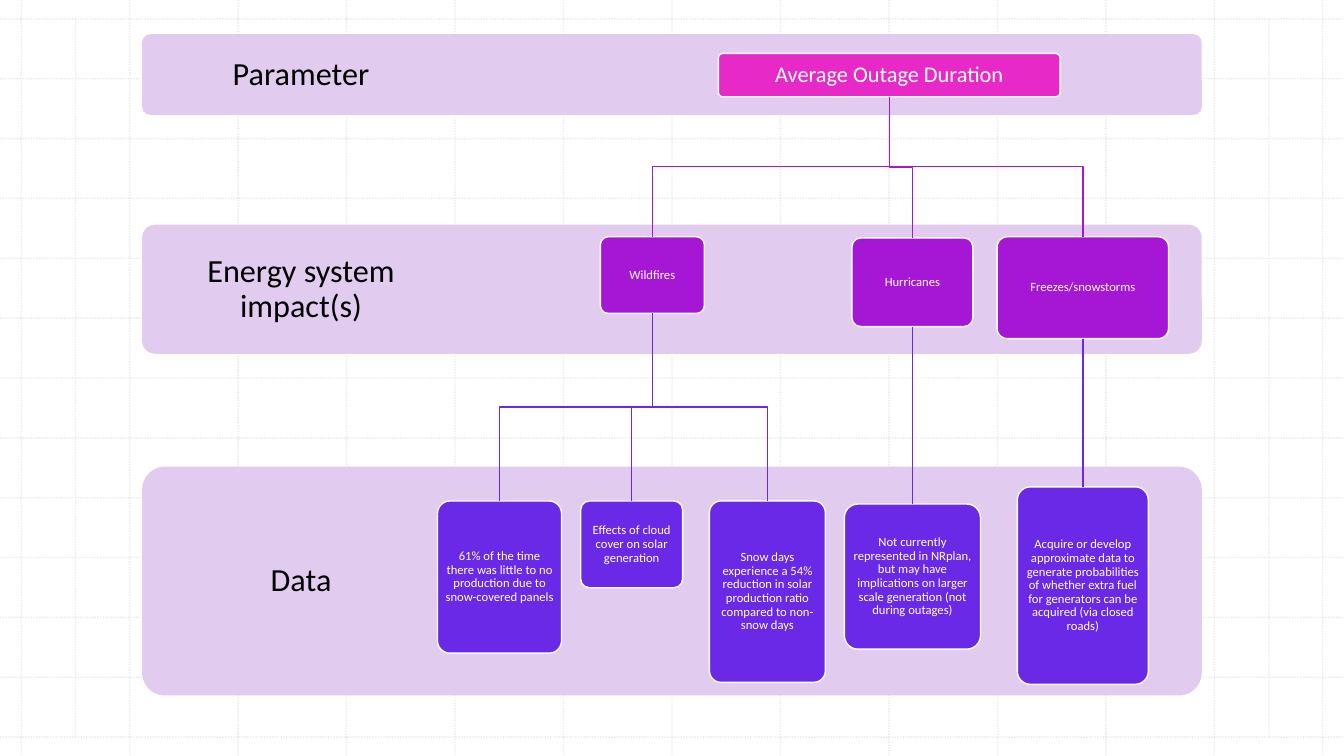
import pptx
import pptx.util
import pptx.dml.color
import pptx.enum.dml
import pptx.enum.shapes
import pptx.enum.text
import pptx.oxml.ns
import lxml.etree

RGBColor = pptx.dml.color.RGBColor
BLACK = RGBColor(0x00, 0x00, 0x00)
WHITE = RGBColor(0xFF, 0xFF, 0xFF)
GRID_GRAY = RGBColor(0xBC, 0xBC, 0xBC)
LILAC = RGBColor(0xE1, 0xCC, 0xEF)
PINK = RGBColor(0xE7, 0x29, 0xC7)
PURPLE = RGBColor(0xA6, 0x17, 0xD5)
VIOLET = RGBColor(0x69, 0x29, 0xE7)

ROUNDED = pptx.enum.shapes.MSO_SHAPE.ROUNDED_RECTANGLE
STRAIGHT = pptx.enum.shapes.MSO_CONNECTOR.STRAIGHT
LINE_WIDTH = pptx.util.Pt(1)

presentation = pptx.Presentation()
presentation.slide_width = pptx.util.Inches(13.333)
presentation.slide_height = pptx.util.Inches(7.5)
slide = presentation.slides.add_slide(presentation.slide_layouts[6])


def place(x, y):
    """Turn percentages of the slide's width and height into lengths."""
    return round(presentation.slide_width * x / 100), round(presentation.slide_height * y / 100)


def write(shape, text, size, color, inset):
    frame = shape.text_frame
    margin = pptx.util.Inches(inset)
    frame_format = {
        "word_wrap": True,
        "vertical_anchor": pptx.enum.text.MSO_ANCHOR.MIDDLE,
        "margin_left": margin, "margin_right": margin,
        "margin_top": margin, "margin_bottom": margin,
    }
    for name, value in frame_format.items():
        setattr(frame, name, value)
    paragraph = frame.paragraphs[0]
    paragraph.alignment = pptx.enum.text.PP_ALIGN.CENTER
    paragraph.line_spacing = 0.9
    run = paragraph.add_run()
    run.text = text
    for name, value in {"name": "Calibri", "size": pptx.util.Pt(size)}.items():
        setattr(run.font, name, value)
    run.font.color.rgb = color


# Dotted background grid: 12 columns by 12 rows inside the margins
MARGIN_X, MARGIN_Y, CELLS = 1.58, 2.5, 12
column = (100 - 2 * MARGIN_X) / CELLS
row = (100 - 2 * MARGIN_Y) / CELLS
grid_lines = []
for index in range(CELLS + 1):
    x, y = MARGIN_X + index * column, MARGIN_Y + index * row
    grid_lines += [(x, 0, x, 100), (0, y, 100, y)]
for x in (5.62, 94.42):
    grid_lines.append((x, MARGIN_Y, x, 100 - MARGIN_Y))
for x1, y1, x2, y2 in grid_lines:
    grid_line = slide.shapes.add_connector(STRAIGHT, *place(x1, y1), *place(x2, y2))
    grid_line.line.width = LINE_WIDTH
    grid_line.line.color.rgb = GRID_GRAY
    grid_line.line.dash_style = pptx.enum.dml.MSO_LINE.ROUND_DOT
    color_element = grid_line.line._ln.find(".//" + pptx.oxml.ns.qn("a:srgbClr"))
    lxml.etree.SubElement(color_element, pptx.oxml.ns.qn("a:alpha"), val="30000")
    lxml.etree.SubElement(grid_line._element.spPr, pptx.oxml.ns.qn("a:effectLst"))

# Level bands: label, top, height
BAND_LEFT, BAND_WIDTH, LABEL_SHARE = 10.58, 78.84, 0.3
bands = [
    ("Parameter", 4.53, 10.67),
    ("Energy system impact(s)", 29.73, 17.07),
    ("Data", 61.73, 30.27),
]
for label, top, height in bands:
    band = slide.shapes.add_shape(ROUNDED, *place(BAND_LEFT, top), *place(BAND_WIDTH, height))
    band.adjustments[0] = 0.1
    band.shadow.inherit = False
    band.fill.solid()
    band.fill.fore_color.rgb = LILAC
    band.line.fill.background()
    label_box = slide.shapes.add_textbox(
        *place(BAND_LEFT, top), *place(BAND_WIDTH * LABEL_SHARE, height))
    write(label_box, label, 23, BLACK, 0.18)

# Tree boxes: key, parent, color, centre, top, width, height, text
boxes = [
    ("outage", None, PINK, 66.17, 7.07, 25.43, 5.73, "Average Outage Duration"),
    ("wildfires", "outage", PURPLE, 48.54, 31.33, 7.73, 10.13, "Wildfires"),
    ("hurricanes", "outage", PURPLE, 67.89, 31.47, 9, 11.73, "Hurricanes"),
    ("freezes", "outage", PURPLE, 80.57, 31.33, 12.75, 13.47, "Freezes/snowstorms"),
    ("panels", "wildfires", VIOLET, 37.17, 66.27, 9.23, 20.13,
     "61% of the time there was little to no production due to snow-covered panels"),
    ("clouds", "wildfires", VIOLET, 47, 66.27, 7.58, 11.47,
     "Effects of cloud cover on solar generation"),
    ("snow days", "wildfires", VIOLET, 57.1, 66.27, 8.63, 24,
     "Snow days experience a 54% reduction in solar production ratio compared to non-snow days"),
    ("outages", "hurricanes", VIOLET, 67.89, 66.67, 10.13, 19.2,
     "Not currently represented in NRplan, but may have implications on larger scale "
     "generation (not during outages)"),
    ("fuel", "freezes", VIOLET, 80.57, 64.4, 9.75, 26.13,
     "Acquire or develop approximate data to generate probabilities of whether extra fuel "
     "for generators can be acquired (via closed roads)"),
]
drawn = {}
for key, parent, color, centre, top, width, height, text in boxes:
    box = slide.shapes.add_shape(ROUNDED, *place(centre - width / 2, top), *place(width, height))
    box.adjustments[0] = 0.1
    box.shadow.inherit = False
    box.fill.solid()
    box.fill.fore_color.rgb = color
    box.line.color.rgb = WHITE
    box.line.width = LINE_WIDTH
    write(box, text, 9 if parent else 16, WHITE, 0.04 if parent else 0.07)
    drawn[key] = (box, centre, top, top + height)
    if parent is None:
        continue

    parent_box, parent_centre, _, parent_bottom = drawn[parent]
    if parent_centre == centre:
        link = slide.shapes.add_connector(
            STRAIGHT, *place(centre, parent_bottom), *place(centre, top))
        link.begin_connect(parent_box, 2)
        link.end_connect(box, 0)
        lxml.etree.SubElement(link._element.spPr, pptx.oxml.ns.qn("a:effectLst"))
    else:
        middle = (parent_bottom + top) / 2
        builder = slide.shapes.build_freeform(*place(parent_centre, parent_bottom))
        builder.add_line_segments(
            [place(parent_centre, middle), place(centre, middle), place(centre, top)], close=False)
        link = builder.convert_to_shape()
        link.fill.background()
        link.shadow.inherit = False
    link.line.color.rgb = color
    link.line.width = LINE_WIDTH

presentation.save("out.pptx")
